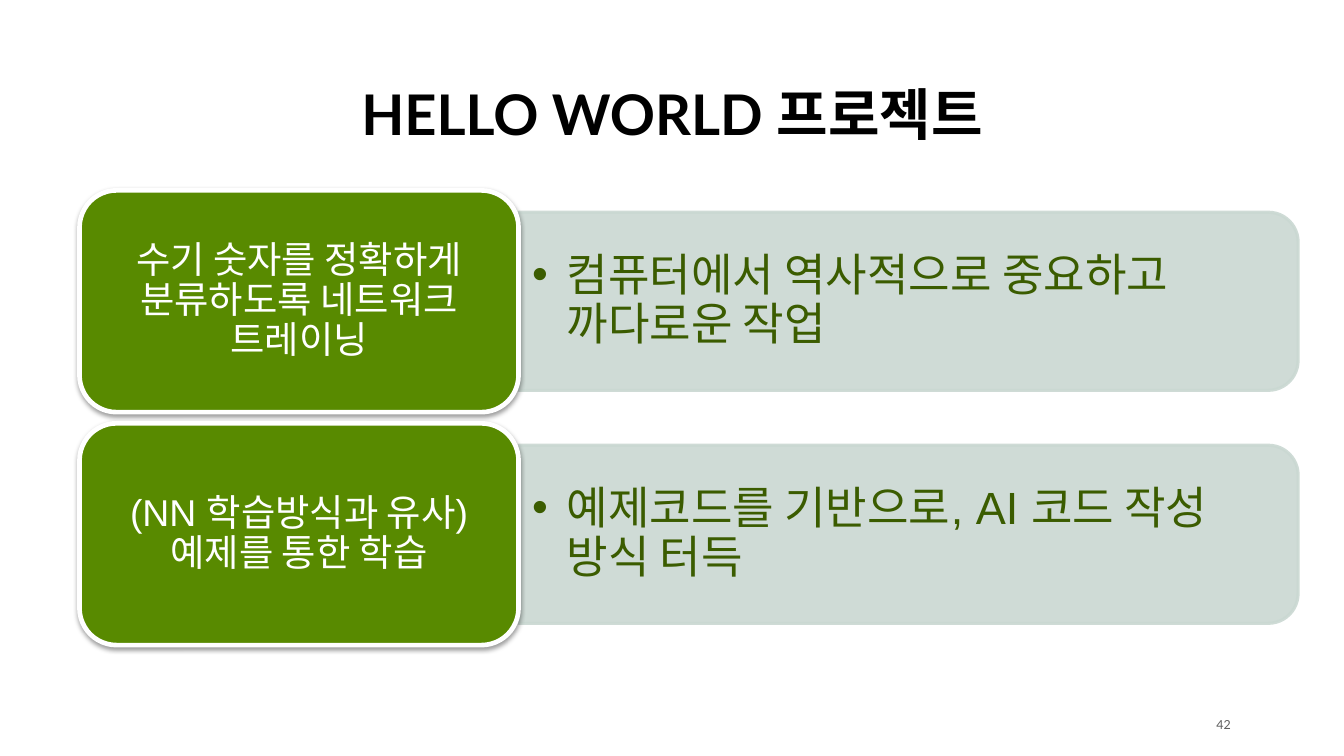
from lxml import etree
from pptx import Presentation, util as u
from pptx.dml.color import RGBColor
from pptx.enum import shapes, text
from pptx.oxml.ns import qn

WIDTH, HEIGHT = 12, 6.75
COLORS = {
    "title": "000000", "number": "5E5E5E", "label": "588A00",
    "white": "FFFFFF", "panel": "CAD8D2", "detail": "3B5C00", "shadow": "000000",
}

# Rows of the list: a label card in front of a detail panel
TOP, PITCH = 1.7, 2.08
CARD_LEFT, CARD_WIDTH, CARD_HEIGHT = 0.71, 3.92, 1.98
PANEL_LEFT, PANEL_WIDTH, PANEL_HEIGHT = CARD_LEFT + CARD_WIDTH, 6.96, 1.59
CORNER = 0.167
ROWS = [
    ("수기 숫자를 정확하게 분류하도록 네트워크 트레이닝",
     "컴퓨터에서 역사적으로 중요하고 까다로운 작업"),
    ("(NN 학습방식과 유사)\n예제를 통한 학습",
     "예제코드를 기반으로, AI 코드 작성 방식 터득"),
]


def rgb(name):
    return RGBColor.from_string(COLORS[name])


def add_child(parent, tag, **attributes):
    return etree.SubElement(parent, qn(tag), **attributes)


def add_bullet(paragraph, color, indent):
    properties = paragraph._p.get_or_add_pPr()
    properties.set("marL", str(u.Inches(indent)))
    properties.set("indent", str(-u.Inches(indent)))
    add_child(add_child(properties, "a:buClr"), "a:srgbClr", val=COLORS[color])
    add_child(properties, "a:buFont", typeface="Arial")
    add_child(properties, "a:buChar", char="•")


def add_text(slide, content, left, top, width, height, *, size, color,
             font="Arial", bold=False, align=text.PP_ALIGN.CENTER,
             anchor=text.MSO_ANCHOR.MIDDLE, margins=(0.1, 0.05),
             spacing=0.9, bullet_indent=None):
    box = slide.shapes.add_textbox(*map(u.Inches, (left, top, width, height)))
    frame = box.text_frame
    frame.word_wrap = True
    frame.vertical_anchor = anchor
    frame.margin_left = frame.margin_right = u.Inches(margins[0])
    frame.margin_top = frame.margin_bottom = u.Inches(margins[1])
    paragraph = frame.paragraphs[0]
    paragraph.text = content
    paragraph.alignment = align
    paragraph.line_spacing = spacing
    if bullet_indent:
        add_bullet(paragraph, color, bullet_indent)
    for run in paragraph.runs:
        run.font.name, run.font.size, run.font.bold = font, u.Pt(size), bold
        run.font.color.rgb = rgb(color)


def add_box(slide, kind, left, top, width, height, *, fill, line, line_width):
    shape = slide.shapes.add_shape(kind, *map(u.Inches, (left, top, width, height)))
    shape.shadow.inherit = False
    shape.adjustments[0] = CORNER
    shape.fill.solid()
    shape.fill.fore_color.rgb = rgb(fill)
    shape.line.color.rgb = rgb(line)
    shape.line.width = u.Pt(line_width)
    return shape


def add_panel(slide, middle):
    # The shape stands upright and is turned so its round corners face right
    center = PANEL_LEFT + PANEL_WIDTH / 2
    panel = add_box(slide, shapes.MSO_SHAPE.ROUND_2_SAME_RECTANGLE,
                    center - PANEL_HEIGHT / 2, middle - PANEL_WIDTH / 2,
                    PANEL_HEIGHT, PANEL_WIDTH,
                    fill="panel", line="panel", line_width=2)
    panel.rotation = 90
    for color in panel._element.spPr.iter(qn("a:srgbClr")):
        add_child(color, "a:alpha", val="90000")


def add_card(slide, top):
    card = add_box(slide, shapes.MSO_SHAPE.ROUNDED_RECTANGLE,
                   CARD_LEFT, top, CARD_WIDTH, CARD_HEIGHT,
                   fill="label", line="white", line_width=3)
    effects = card._element.spPr.find(qn("a:effectLst"))
    shadow = add_child(effects, "a:outerShdw", blurRad=str(u.Pt(3.1)),
                       dist=str(u.Pt(1.6)), dir="5400000", rotWithShape="0")
    color = add_child(shadow, "a:srgbClr", val=COLORS["shadow"])
    add_child(color, "a:alpha", val="38000")


def add_row(slide, index, label, detail):
    top = TOP + index * PITCH
    middle = top + CARD_HEIGHT / 2
    add_panel(slide, middle)
    add_text(slide, detail, PANEL_LEFT, middle - 0.715, 6.89, 1.43,
             size=29, color="detail", align=text.PP_ALIGN.LEFT,
             margins=(0.12, 0.06), bullet_indent=0.31)
    add_card(slide, top)
    inset = 0.1
    add_text(slide, label, CARD_LEFT + inset, top + inset,
             CARD_WIDTH - 2 * inset, CARD_HEIGHT - 2 * inset,
             size=24, color="white")


def main():
    presentation = Presentation()
    presentation.slide_width = u.Inches(WIDTH)
    presentation.slide_height = u.Inches(HEIGHT)
    slide = presentation.slides.add_slide(presentation.slide_layouts[6])

    # Slide number
    add_text(slide, "42", 10.68, 6.38, 0.31, 0.18, size=8, color="number",
             font="Lato", align=text.PP_ALIGN.RIGHT, margins=(0, 0), spacing=1.0)

    # Title
    add_text(slide, "HELLO WORLD 프로젝트", 0.55, 0.72, WIDTH - 2 * 0.55, 0.65,
             size=36, color="title", font="Lato", bold=True,
             anchor=text.MSO_ANCHOR.BOTTOM)

    # List rows
    for index, (label, detail) in enumerate(ROWS):
        add_row(slide, index, label, detail)

    presentation.save("out.pptx")


if __name__ == "__main__":
    main()
